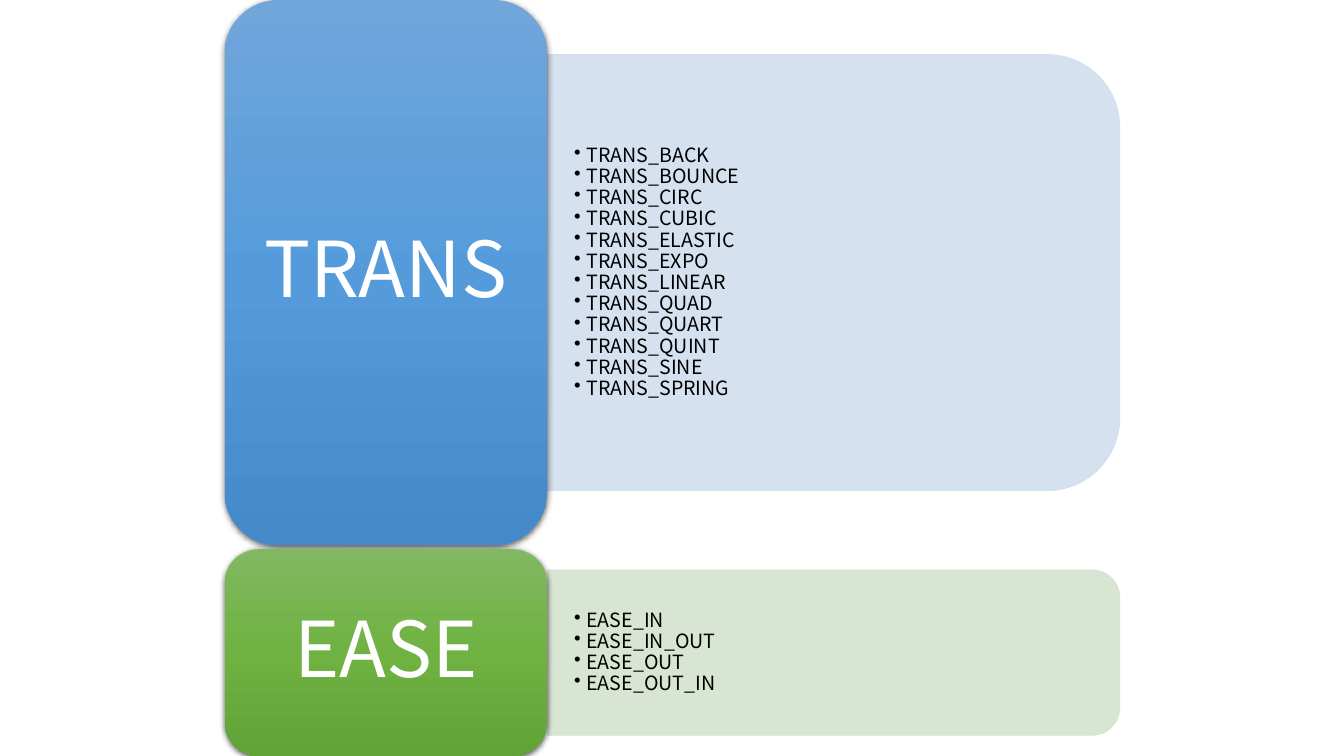
"""Build a slide that lists tween transition and easing constants in two groups."""
from lxml import etree
from pptx import Presentation
from pptx.dml.color import RGBColor
from pptx.enum.shapes import MSO_SHAPE
from pptx.enum.text import MSO_ANCHOR, PP_ALIGN
from pptx.oxml import parse_xml
from pptx.oxml.ns import nsdecls, qn
from pptx.util import Cm, Pt

ROUNDED = MSO_SHAPE.ROUNDED_RECTANGLE
ROUNDED_TOP = MSO_SHAPE.ROUND_2_SAME_RECTANGLE
MIDDLE = MSO_ANCHOR.MIDDLE
CENTER = PP_ALIGN.CENTER

FONT = "Noto Sans CJK KR"
BLACK = RGBColor(0x00, 0x00, 0x00)
WHITE = RGBColor(0xFF, 0xFF, 0xFF)
PALE_BLUE = RGBColor(0xD2, 0xDE, 0xEF)
PALE_GREEN = RGBColor(0xD5, 0xE3, 0xCF)
BLUES = (RGBColor(0x71, 0xA6, 0xDB), RGBColor(0x55, 0x9B, 0xDB), RGBColor(0x44, 0x8A, 0xCA))
GREENS = (RGBColor(0x81, 0xB8, 0x61), RGBColor(0x6F, 0xB2, 0x42), RGBColor(0x62, 0xA3, 0x36))

GROUPS = [
    {
        "title": "TRANS",
        "constants": [
            "TRANS_BACK", "TRANS_BOUNCE", "TRANS_CIRC", "TRANS_CUBIC",
            "TRANS_ELASTIC", "TRANS_EXPO", "TRANS_LINEAR", "TRANS_QUAD",
            "TRANS_QUART", "TRANS_QUINT", "TRANS_SINE", "TRANS_SPRING",
        ],
        "height": 13.74, "gradient": BLUES, "pale": PALE_BLUE,
    },
    {
        "title": "EASE",
        "constants": ["EASE_IN", "EASE_IN_OUT", "EASE_OUT", "EASE_OUT_IN"],
        "height": 5.21, "gradient": GREENS, "pale": PALE_GREEN,
    },
]

TITLE_LEFT, TITLE_WIDTH = 5.66, 8.13
PANEL_LEFT, PANEL_WIDTH = TITLE_LEFT + TITLE_WIDTH, 14.43
PANEL_SHARE = 0.8
GROUP_GAP = 0.1


def format_text(paragraph, size, color):
    paragraph.line_spacing = 0.9
    paragraph.space_after = Pt(0)
    for run in paragraph.runs:
        run.font.name, run.font.size = FONT, Pt(size)
        run.font.color.rgb = color


def make_translucent(fill):
    fill_color = fill._xPr.find(qn("a:solidFill"))[0]
    etree.SubElement(fill_color, qn("a:alpha")).set("val", "90000")


def add_panel(slide, top, height, pale):
    center_x, center_y = PANEL_LEFT + PANEL_WIDTH / 2, top + height / 2
    panel = slide.shapes.add_shape(
        ROUNDED_TOP, Cm(center_x - height / 2), Cm(center_y - PANEL_WIDTH / 2),
        Cm(height), Cm(PANEL_WIDTH))
    panel.rotation = 90
    panel.shadow.inherit = False
    panel.line.width = Pt(0.5)
    for fill in (panel.fill, panel.line.fill):
        fill.solid()
        fill.fore_color.rgb = pale
        make_translucent(fill)


def add_constants(slide, top, height, constants):
    constant_list = slide.shapes.add_textbox(
        Cm(PANEL_LEFT), Cm(top), Cm(PANEL_WIDTH), Cm(height))
    frame = constant_list.text_frame
    frame.word_wrap = True
    frame.vertical_anchor = MIDDLE
    frame.margin_left = frame.margin_right = Cm(0.68)
    frame.margin_top = frame.margin_bottom = Cm(0.35)
    frame.text = "\n".join(constants)
    for paragraph in frame.paragraphs:
        paragraph.level = 1
        format_text(paragraph, 14, BLACK)
        properties = paragraph._p.get_or_add_pPr()
        properties.set("marL", str(Cm(0.31)))
        properties.set("indent", str(-Cm(0.31)))
        etree.SubElement(properties, qn("a:buChar")).set("char", "•")


def add_title(slide, top, height, title, gradient):
    title_block = slide.shapes.add_shape(
        ROUNDED, Cm(TITLE_LEFT), Cm(top), Cm(TITLE_WIDTH), Cm(height))
    title_block.shadow.inherit = False
    title_block.line.fill.background()
    stops = "".join(
        f'<a:gs pos="{index * 50000}"><a:srgbClr val="{color}"/></a:gs>'
        for index, color in enumerate(gradient))
    properties = title_block._element.spPr
    properties.find(qn("a:prstGeom")).addnext(parse_xml(
        f'<a:gradFill {nsdecls("a")} rotWithShape="1"><a:gsLst>{stops}</a:gsLst>'
        '<a:lin ang="5400000" scaled="0"/></a:gradFill>'))
    properties.find(qn("a:effectLst")).append(parse_xml(
        f'<a:outerShdw {nsdecls("a")} blurRad="{Pt(4.5)}" dist="{Pt(1.5)}" dir="5400000" '
        'algn="ctr" rotWithShape="0"><a:srgbClr val="000000"><a:alpha val="63000"/>'
        '</a:srgbClr></a:outerShdw>'))
    frame = title_block.text_frame
    frame.word_wrap = False
    frame.vertical_anchor = MIDDLE
    frame.text = title
    frame.paragraphs[0].alignment = CENTER
    format_text(frame.paragraphs[0], 55, WHITE)


def main():
    presentation = Presentation()
    presentation.slide_width, presentation.slide_height = Cm(33.87), Cm(19.05)
    slide = presentation.slides.add_slide(presentation.slide_layouts[6])
    top = 0
    for group in GROUPS:
        height = group["height"]
        panel_height = height * PANEL_SHARE
        panel_top = top + (height - panel_height) / 2
        add_panel(slide, panel_top, panel_height, group["pale"])
        add_constants(slide, panel_top, panel_height, group["constants"])
        add_title(slide, top, height, group["title"], group["gradient"])
        top += height + GROUP_GAP
    presentation.save("out.pptx")


if __name__ == "__main__":
    main()
